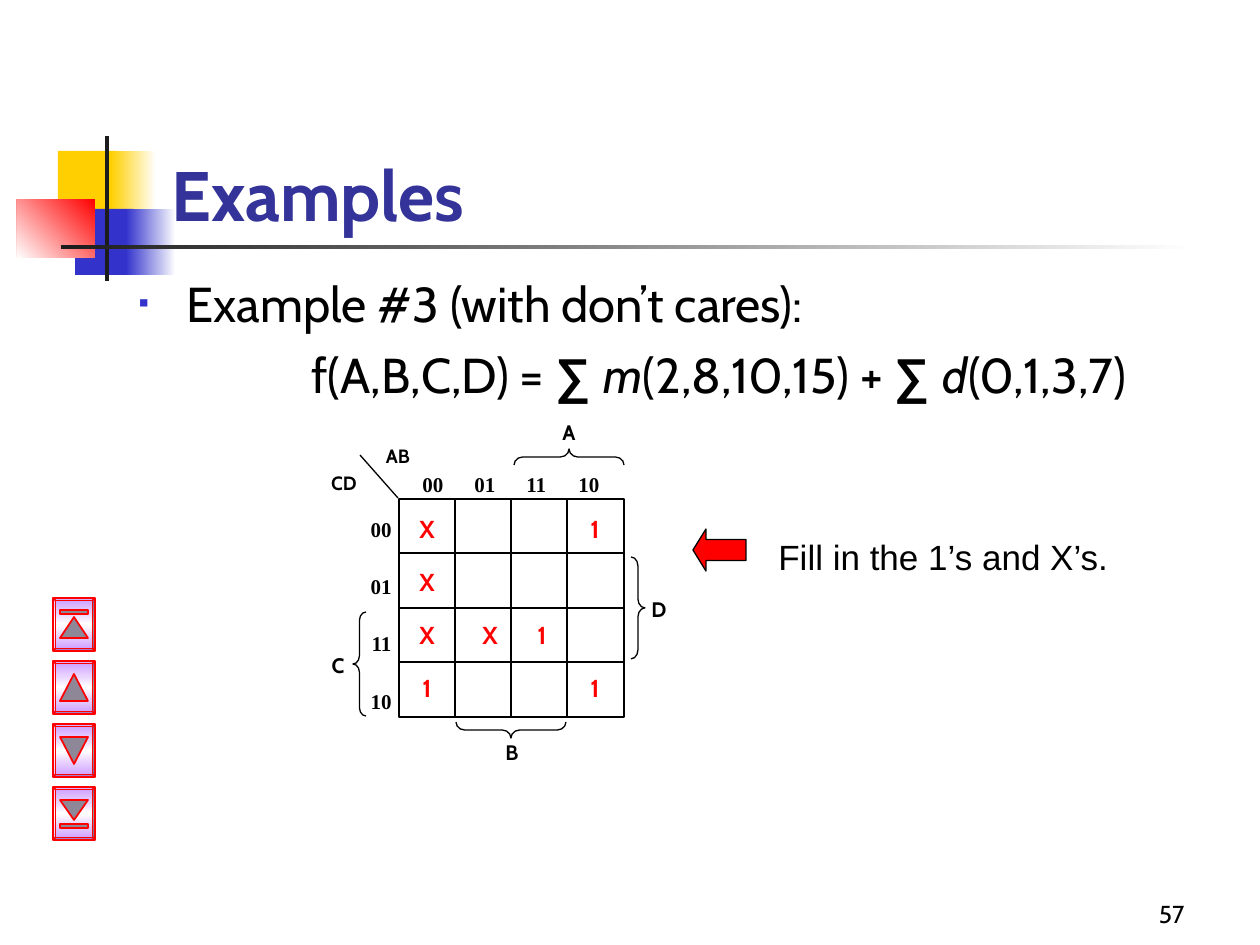
from dataclasses import dataclass

from lxml.etree import SubElement
from pptx import Presentation
from pptx.dml.color import RGBColor
from pptx.enum.shapes import MSO_CONNECTOR as Connector, MSO_SHAPE as Preset
from pptx.enum.text import MSO_ANCHOR as Anchor, MSO_AUTO_SIZE as AutoSize, PP_ALIGN as Align
from pptx.oxml.ns import qn
from pptx.util import Emu, Pt

SLIDE_W, SLIDE_H = 1260, 945
EMU_PER_PX = 9144000 / SLIDE_W
BLACK, RED, BLUE = "000000", "FF0000", "3333CC"
WHITE, GOLD, CHARCOAL, LILAC, GREY = "FFFFFF", "FFCF01", "1C1C1C", "CC99FF", "8E8797"
MAP_LEFT, MAP_TOP, MAP_W, MAP_H, CELLS = 399, 499, 225, 218, 4
MARK_LEFTS = (399, 462, 514, 567)
MARK_TOP, MARK_PITCH = 508, 53
BUTTON_LEFT, BUTTON_TOP, BUTTON_PITCH = 53, 598, 63


@dataclass(frozen=True)
class Box:
    left: int
    top: int
    width: int
    height: int


@dataclass(frozen=True)
class Block:
    box: Box
    colors: tuple
    angle: int = 0


@dataclass(frozen=True)
class Mark:
    row: int
    column: int
    symbol: str


@dataclass(frozen=True)
class Variable:
    name: str
    label: Box
    size: int = 12


@dataclass(frozen=True)
class Brace:
    preset: Preset
    box: Box
    curl: float
    rotation: int = 0


@dataclass(frozen=True)
class Button:
    arrow_top: int
    arrow_height: int
    rotation: int = 0
    bar_top: int = 0


BLOCKS = (
    Block(Box(58, 151, 60, 66), (GOLD,)),
    Block(Box(111, 151, 45, 66), (WHITE, GOLD), 180),
    Block(Box(75, 209, 58, 66), (BLUE,)),
    Block(Box(126, 209, 50, 66), (WHITE, BLUE), 180),
    Block(Box(17, 199, 78, 59), (RED, WHITE), 225),
    Block(Box(105, 136, 4, 145), (CHARCOAL,)),
    Block(Box(61, 245, 1134, 4), (WHITE, CHARCOAL), 180),
)
BUTTONS = (
    Button(19, 21, bar_top=12),
    Button(13, 27),
    Button(13, 27, 180),
    Button(13, 20, 180, bar_top=37),
)
MARKS = (
    Mark(0, 0, "X"), Mark(0, 3, "1"), Mark(1, 0, "X"), Mark(2, 0, "X"),
    Mark(2, 1, "X"), Mark(2, 2, "1"), Mark(3, 0, "1"), Mark(3, 3, "1"),
)
VARIABLES = (
    Variable("A", Box(548, 413, 42, 34)),
    Variable("B", Box(491, 733, 42, 33)),
    Variable("C", Box(317, 646, 42, 44)),
    Variable("D", Box(638, 590, 42, 44)),
    Variable("AB", Box(366, 438, 64, 36), 11),
    Variable("CD", Box(305, 465, 78, 36), 11),
)
BRACES = (
    Brace(Preset.LEFT_BRACE, Box(561, 402, 16, 110), 0.54, 90),
    Brace(Preset.LEFT_BRACE, Box(503, 675, 16, 110), 0.54, 270),
    Brace(Preset.LEFT_BRACE, Box(353, 612, 13, 104), 0.64),
    Brace(Preset.RIGHT_BRACE, Box(631, 557, 14, 102), 0.64),
)


def px(length: int) -> Emu:
    return Emu(round(length * EMU_PER_PX))


def rgb(color: str) -> RGBColor:
    return RGBColor.from_string(color)


def bounds(box: Box) -> tuple:
    return px(box.left), px(box.top), px(box.width), px(box.height)


def place(placeholder, box: Box, anchor: Anchor):
    placeholder.left, placeholder.top, placeholder.width, placeholder.height = bounds(box)
    frame = placeholder.text_frame
    frame.word_wrap = True
    frame.auto_size = AutoSize.NONE
    frame.vertical_anchor = anchor
    return frame


def add_run(paragraph, text: str, *, font="Cabin", size=28, color=BLACK, bold=False, italic=False) -> None:
    run = paragraph.add_run()
    run.text = text
    run.font.name, run.font.size = font, Pt(size)
    run.font.bold, run.font.italic = bold, italic
    run.font.color.rgb = rgb(color)


def add_text(slide, box: Box, *lines: str, align=Align.LEFT, anchor=Anchor.TOP, gap=0, tab=0, **style) -> None:
    frame = place(slide.shapes.add_textbox(*bounds(box)), box, anchor)
    for index, line in enumerate(lines):
        paragraph = frame.add_paragraph() if index else frame.paragraphs[0]
        if tab:
            stops = SubElement(paragraph._p.get_or_add_pPr(), qn("a:tabLst"))
            for step in range(1, line.count("\t") + 1):
                SubElement(stops, qn("a:tab"), pos=str(px(tab * step)), algn="l")
        paragraph.alignment = align
        paragraph.space_before = Pt(gap if index else 0)
        add_run(paragraph, line, **style)


def add_preset(slide, preset: Preset, box: Box, *colors: str, angle=0, line=None, weight=0.75, rotation=0):
    shape = slide.shapes.add_shape(preset, *bounds(box))
    shape.shadow.inherit = False
    shape.rotation = rotation
    if len(colors) > 1:
        shape.fill.gradient()
        shape.fill.gradient_angle = angle
        stops = shape._element.spPr.find(qn("a:gradFill")).find(qn("a:gsLst"))
        stops.clear()
        for index, color in enumerate(colors):
            stop = SubElement(stops, qn("a:gs"), pos=str(100000 * index // (len(colors) - 1)))
            SubElement(stop, qn("a:srgbClr"), val=color)
    elif colors:
        shape.fill.solid()
        shape.fill.fore_color.rgb = rgb(colors[0])
    else:
        shape.fill.background()
    if line:
        shape.line.color.rgb = rgb(line)
        shape.line.width = Pt(weight)
    else:
        shape.line.fill.background()
    return shape


def add_line(slide, x1: int, y1: int, x2: int, y2: int) -> None:
    line = slide.shapes.add_connector(Connector.STRAIGHT, px(x1), px(y1), px(x2), px(y2))
    line.line.color.rgb = rgb(BLACK)
    line.line.width = Pt(0.75)
    SubElement(line._element.spPr, qn("a:effectLst"))


def add_heading_and_function(slide) -> None:
    title, body = slide.placeholders
    heading = place(title, Box(159, 84, 1074, 158), Anchor.BOTTOM).paragraphs[0]
    heading.alignment = Align.LEFT
    add_run(heading, "Examples", size=40, color="333399", bold=True)

    frame = place(body, Box(126, 267, 1103, 158), Anchor.TOP)
    example, function = frame.paragraphs[0], frame.add_paragraph()
    bullet = example._p.get_or_add_pPr()
    bullet.set("marL", str(px(48)))
    bullet.set("indent", str(-px(48)))
    SubElement(SubElement(bullet, qn("a:buClr")), qn("a:srgbClr"), val=BLUE)
    SubElement(bullet, qn("a:buSzPct"), val="60000")
    SubElement(bullet, qn("a:buFont"), typeface="Arial")
    SubElement(bullet, qn("a:buChar"), char="▪")
    example.space_before = Pt(0)
    add_run(example, "Example #3 (with don’t cares):")

    indent = function._p.get_or_add_pPr()
    indent.set("marL", str(px(173)))
    indent.set("indent", "0")
    SubElement(indent, qn("a:buNone"))
    function.space_before = Pt(7)
    add_run(function, "f(A,B,C,D) = ")
    for letter, terms in (("m", "(2,8,10,15) + "), ("d", "(0,1,3,7)")):
        add_run(function, "∑ ", font="Arial", bold=True)
        add_run(function, letter, italic=True)
        add_run(function, terms)


def add_button(slide, button: Button, top: int) -> None:
    frame = add_preset(slide, Preset.BEVEL, Box(BUTTON_LEFT, top, 42, 53),
                       LILAC, WHITE, LILAC, angle=90, line=RED, weight=1)
    frame.adjustments[0] = 0.06
    icon_left = BUTTON_LEFT + 7
    add_preset(slide, Preset.ISOSCELES_TRIANGLE,
               Box(icon_left, top + button.arrow_top, 28, button.arrow_height),
               GREY, line=RED, weight=1, rotation=button.rotation)
    if button.bar_top:
        add_preset(slide, Preset.RECTANGLE, Box(icon_left, top + button.bar_top, 28, 4),
                   GREY, line=RED, weight=1)


def add_karnaugh_map(slide) -> None:
    add_preset(slide, Preset.RECTANGLE, Box(MAP_LEFT, MAP_TOP, MAP_W, MAP_H), line=BLACK)
    for step in range(1, CELLS):
        x, y = MAP_LEFT + MAP_W * step // CELLS, MAP_TOP + MAP_H * step // CELLS
        add_line(slide, x, MAP_TOP, x, MAP_TOP + MAP_H)
        add_line(slide, MAP_LEFT, y, MAP_LEFT + MAP_W, y)
    add_line(slide, 398, 498, 360, 455)
    codes = ("00", "01", "11", "10")
    axis = dict(font="Times New Roman", size=12, bold=True)
    add_text(slide, Box(410, 465, 209, 44), "\t".join(codes), tab=52, **axis)
    add_text(slide, Box(355, 510, 49, 226), *codes, align=Align.RIGHT, gap=18.4, **axis)
    for mark in MARKS:
        box = Box(MARK_LEFTS[mark.column], MARK_TOP + MARK_PITCH * mark.row, 56, 44)
        add_text(slide, box, mark.symbol, align=Align.CENTER, size=14, color=RED, bold=True)
    for brace in BRACES:
        shape = add_preset(slide, brace.preset, brace.box, line=BLACK, rotation=brace.rotation)
        shape.adjustments[0] = brace.curl
    for variable in VARIABLES:
        add_text(slide, variable.label, variable.name, align=Align.CENTER, size=variable.size, bold=True)


def main() -> None:
    deck = Presentation()
    deck.slide_width, deck.slide_height = px(SLIDE_W), px(SLIDE_H)
    slide = deck.slides.add_slide(deck.slide_layouts[1])
    for block in BLOCKS:
        add_preset(slide, Preset.RECTANGLE, block.box, *block.colors, angle=block.angle)
    add_heading_and_function(slide)
    for index, button in enumerate(BUTTONS):
        add_button(slide, button, BUTTON_TOP + BUTTON_PITCH * index)
    add_text(slide, Box(766, 529, 388, 55), "Fill in the 1’s and X’s.", font="Arial", size=20)
    pointer = add_preset(slide, Preset.LEFT_ARROW, Box(693, 529, 53, 42), RED, line=BLACK)
    pointer.adjustments[1] = 0.31
    add_karnaugh_map(slide)
    add_text(slide, Box(935, 872, 262, 63), "57", align=Align.RIGHT, anchor=Anchor.BOTTOM, size=14)
    deck.save("out.pptx")


if __name__ == "__main__":
    main()
